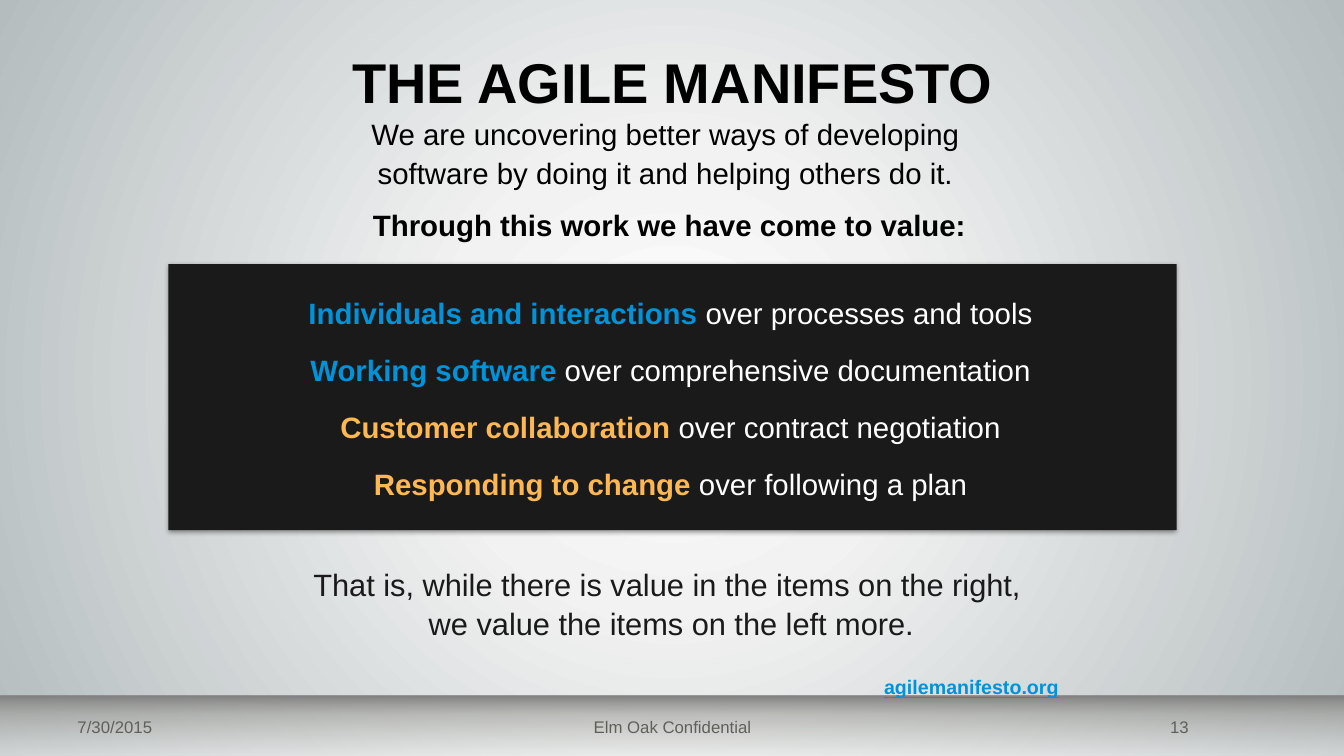
"""Build the Agile Manifesto slide."""
from dataclasses import dataclass

from lxml import etree
from pptx import Presentation
from pptx.dml.color import RGBColor
from pptx.enum.shapes import MSO_SHAPE
from pptx.enum.text import MSO_ANCHOR, MSO_AUTO_SIZE, PP_ALIGN
from pptx.oxml.ns import qn
from pptx.util import Inches, Pt

LEFT, CENTER, RIGHT = PP_ALIGN.LEFT, PP_ALIGN.CENTER, PP_ALIGN.RIGHT
TOP, MIDDLE, BOTTOM = MSO_ANCHOR.TOP, MSO_ANCHOR.MIDDLE, MSO_ANCHOR.BOTTOM
FIT_SHAPE, NO_FIT = MSO_AUTO_SIZE.SHAPE_TO_FIT_TEXT, MSO_AUTO_SIZE.NONE
RECTANGLE, ROUNDED = MSO_SHAPE.RECTANGLE, MSO_SHAPE.ROUNDED_RECTANGLE
TITLE_ONLY = 5


@dataclass(frozen=True)
class Theme:
    """Hold the font, colours, gradients and type sizes."""
    font: str = "Arial"
    black: str = "000000"
    white: str = "FFFFFF"
    charcoal: str = "1A1A1A"
    blue: str = "0093D9"
    orange: str = "FDB853"
    footer_grey: str = "60605B"
    backdrop: tuple = ((0, "FFFFFF", 100), (30, "F2F2F2", 100), (100, "B4BCBE", 100))
    footer_band: tuple = ((0, "808080", 100), (32, "A1A19C", 59), (100, "F2F2F2", 49))
    title_size: int = 40
    closing_size: int = 22
    body_size: int = 21
    link_size: int = 14
    footer_size: int = 12


THEME = Theme()


def add_element(parent, tag, **attributes):
    """Append a drawing element with the given attributes."""
    values = {name: str(value) for name, value in attributes.items()}
    return etree.SubElement(parent, qn(tag), values)


def add_color(parent, color, opacity):
    """Append a colour with an opacity in percent."""
    element = add_element(parent, "a:srgbClr", val=color)
    if opacity < 100:
        add_element(element, "a:alpha", val=opacity * 1000)


def set_gradient(fill, properties, stops, radial=False):
    """Replace the fill with a radial or top-to-bottom gradient."""
    fill.solid()
    solid = properties.find(qn("a:solidFill"))
    gradient = etree.Element(qn("a:gradFill"), {"rotWithShape": "1"})
    stop_list = add_element(gradient, "a:gsLst")
    for position, color, opacity in stops:
        add_color(add_element(stop_list, "a:gs", pos=position * 1000), color, opacity)
    if radial:
        circle = add_element(gradient, "a:path", path="circle")
        add_element(circle, "a:fillToRect", l=50000, t=50000, r=50000, b=50000)
    else:
        add_element(gradient, "a:lin", ang=90 * 60000, scaled=0)
    properties.replace(solid, gradient)


def add_block(page, bounds, color, kind=RECTANGLE):
    """Add a filled shape without outline or shadow."""
    block = page.shapes.add_shape(kind, *map(Inches, bounds))
    block.shadow.inherit = False
    block.line.fill.background()
    block.fill.solid()
    block.fill.fore_color.rgb = RGBColor.from_string(color)
    return block


def add_drop_shadow(shape):
    """Give the shape a soft shadow below it."""
    effects = shape._element.spPr.find(qn("a:effectLst"))
    shadow = add_element(effects, "a:outerShdw", blurRad=Pt(3.1), dist=Pt(1.6),
                         dir=90 * 60000, rotWithShape=0)
    add_color(shadow, THEME.black, 38)


def add_span(para, text, size, color, bold=False, underline=False):
    """Add formatted text, with a line break at each newline."""
    formats = {"name": THEME.font, "size": Pt(size), "bold": bold, "underline": underline}
    for index, line in enumerate(text.split("\n")):
        if index:
            para.add_line_break()
        span = para.add_run()
        span.text = line
        for name, value in formats.items():
            setattr(span.font, name, value)
        span.font.color.rgb = RGBColor.from_string(color)


def write_text(box, paragraphs, align=CENTER, anchor=TOP, auto_size=FIT_SHAPE,
               line_spacing=None, gap=0, after=0):
    """Write paragraphs of spans, with the gap before all but the first."""
    frame = box.text_frame
    for name, value in {"word_wrap": True, "auto_size": auto_size,
                        "vertical_anchor": anchor}.items():
        setattr(frame, name, value)
    for index, spans in enumerate(paragraphs):
        para = frame.add_paragraph() if index else frame.paragraphs[0]
        formats = {"alignment": align, "line_spacing": line_spacing,
                   "space_before": Pt(gap if index else 0), "space_after": Pt(after)}
        for name, value in formats.items():
            setattr(para, name, value)
        for span in spans:
            add_span(para, *span)


def add_text(page, bounds, paragraphs, **layout):
    """Add a text box holding the paragraphs."""
    box = page.shapes.add_textbox(*map(Inches, bounds))
    write_text(box, paragraphs, **layout)


def add_title(page, text):
    """Place and format the title placeholder."""
    title = page.shapes.title
    title.left, title.top, title.width, title.height = map(Inches, (0.67, 0.15, 12, 1.1))
    for side, inset in {"left": 0.2, "right": 0.2, "top": 0.1, "bottom": 0.1}.items():
        setattr(title.text_frame, f"margin_{side}", Inches(inset))
    write_text(title, [[(text, THEME.title_size, THEME.black, True)]],
               anchor=BOTTOM, auto_size=NO_FIT, line_spacing=0.9)


def add_values_panel(page, values):
    """Add the dark panel with one line for each value."""
    panel = add_block(page, (1.67, 2.62, 10, 2.64), THEME.charcoal, ROUNDED)
    panel.adjustments[0] = 0
    add_drop_shadow(panel)
    size = THEME.body_size
    lines = [[(f"{preferred} ", size, color, True), (f"over {other}", size, THEME.white)]
             for preferred, other, color in values]
    box = add_block(page, (2.3, 2.81, 8.7, 2.27), THEME.charcoal)
    write_text(box, lines, line_spacing=Pt(30.4), gap=0.2 * size, after=6)


def add_footer(page, entries):
    """Write the footer entries along the band."""
    for text, left, width, align in entries:
        add_text(page, (left, 7.01, width, 0.4),
                 [[(text, THEME.footer_size, THEME.footer_grey)]],
                 align=align, anchor=MIDDLE, auto_size=NO_FIT)


def main():
    """Build and save the deck."""
    deck = Presentation()
    deck.slide_width, deck.slide_height = Inches(13.33), Inches(7.5)
    page = deck.slides.add_slide(deck.slide_layouts[TITLE_ONLY])
    fill = page.background.fill
    fill.solid()
    set_gradient(fill, page._element.cSld.find(qn("p:bg")).find(qn("p:bgPr")),
                 THEME.backdrop, radial=True)
    band = add_block(page, (0, 6.9, 13.35, 0.6), THEME.white)
    set_gradient(band.fill, band._element.spPr, THEME.footer_band)

    add_title(page, "THE AGILE MANIFESTO")
    add_values_panel(page, [
        ("Individuals and interactions", "processes and tools", THEME.blue),
        ("Working software", "comprehensive documentation", THEME.blue),
        ("Customer collaboration", "contract negotiation", THEME.orange),
        ("Responding to change", "following a plan", THEME.orange),
    ])
    add_text(page, (2.24, 1.06, 8.8, 1.42), [
        [("We are uncovering better ways of developing \n"
          "software by doing it and helping others do it. ", THEME.body_size, THEME.black)],
        [("Through this work we have come to value:", THEME.body_size, THEME.black, True)],
    ], line_spacing=Pt(28), gap=6, after=3)
    add_text(page, (2.33, 5.54, 8.66, 0.88), [
        [("That is, while there is value in the items on the right, \n"
          "we value the items on the left more.", THEME.closing_size, THEME.charcoal)],
    ], line_spacing=Pt(28))
    add_text(page, (8.67, 6.65, 2.31, 0.34), [
        [("agilemanifesto.org", THEME.link_size, THEME.blue, True, True)],
    ], align=LEFT)
    add_footer(page, [
        ("7/30/2015", 0.67, 3.11, LEFT),
        ("Elm Oak Confidential", 4.56, 4.22, CENTER),
        ("13", 9.56, 2.33, RIGHT),
    ])
    deck.save("out.pptx")


if __name__ == "__main__":
    main()
